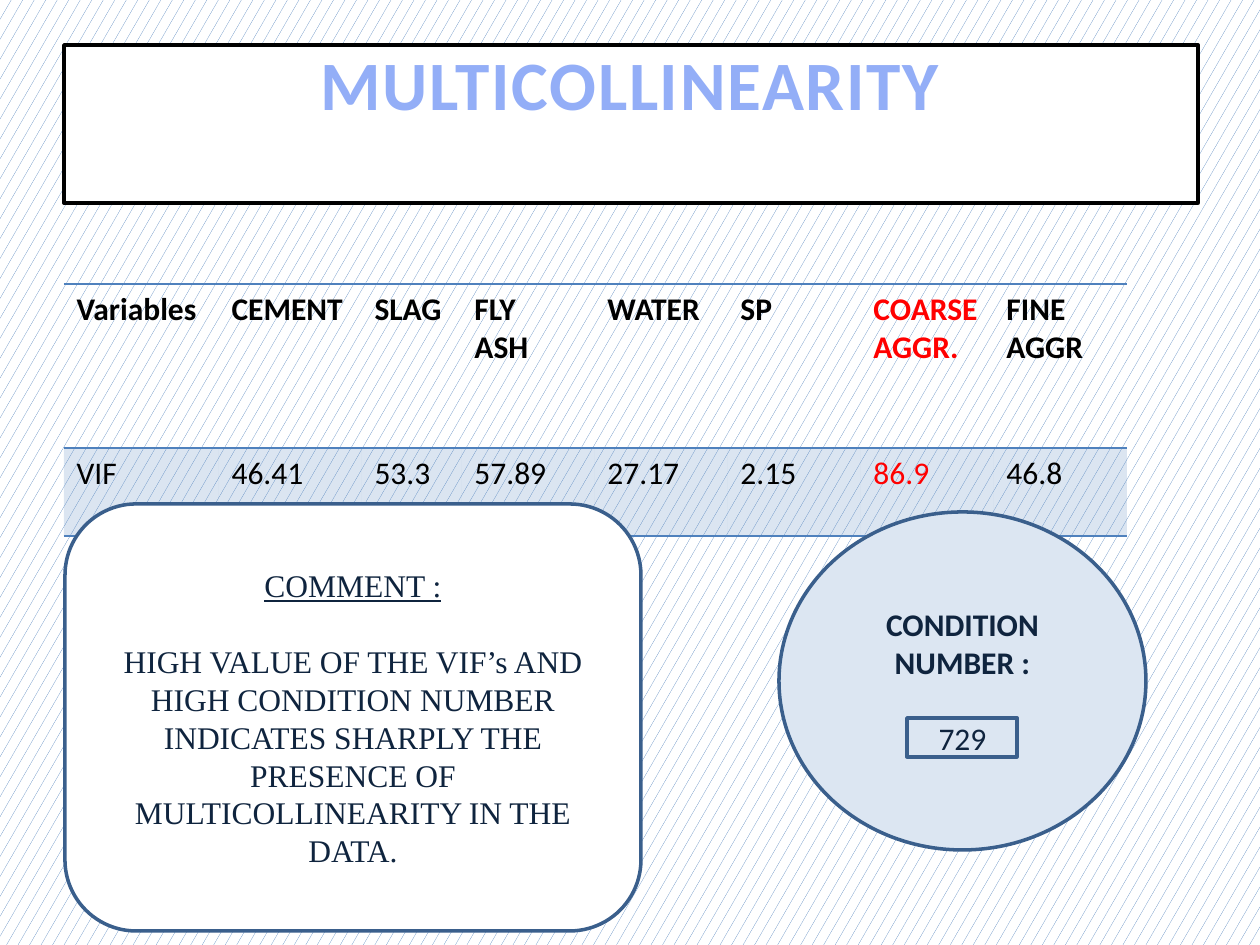
from lxml import etree
from pptx import Presentation
from pptx import util as u
from pptx.dml.color import RGBColor
from pptx.enum import dml, shapes, text
from pptx.oxml.ns import qn

EMU_PER_PX = 914400 / 126
COLORS = {
    "black": "000000", "white": "FFFFFF", "red": "FF0000", "blue": "4F81BD",
    "border": "3A5F8C", "navy": "0F243E", "pale": "DCE6F2",
    "title": "0D7BFF", "title_outline": "93AEF7",
}
NO_STYLE = "{2D5ABB26-0587-4C30-8999-92F81FD0307C}"
COLUMN_WIDTHS = [155, 143, 100] + [133] * 5
ROW_HEIGHTS = [164, 88]
ROWS = [
    ["Variables", "CEMENT", "SLAG", "FLY\nASH", "WATER", "SP", "COARSE\nAGGR.", "FINE AGGR"],
    ["VIF", "46.41", "53.3", "57.89", "27.17", "2.15", "86.9", "46.8"],
]
HIGHLIGHTED_COLUMN = 6
COMMENT = ("HIGH VALUE OF THE VIF’s AND HIGH CONDITION NUMBER INDICATES SHARPLY "
           "THE PRESENCE OF MULTICOLLINEARITY IN THE DATA.")


def px(value):
    return u.Emu(round(value * EMU_PER_PX))


def rgb(name):
    return RGBColor.from_string(COLORS[name])


def set_font(font, color, size=18, name="Calibri", bold=False, underline=False):
    font.name, font.size, font.bold, font.underline = name, u.Pt(size), bold, underline
    font.color.rgb = rgb(color)


def add_alpha(parent, percent):
    """Make the solid colour directly under parent partly opaque."""
    color = parent.find(qn("a:solidFill"))[0]
    etree.SubElement(color, qn("a:alpha"), val=str(percent * 1000))


def line_element(tag, color, points):
    line = etree.Element(qn(tag), w=str(u.Pt(points)))
    fill = etree.SubElement(line, qn("a:solidFill"))
    etree.SubElement(fill, qn("a:srgbClr"), val=COLORS[color])
    return line


def set_background(slide):
    fill = slide.background.fill
    fill.patterned()
    fill.pattern = dml.MSO_PATTERN.SMALL_CONFETTI
    fill.fore_color.rgb = rgb("blue")
    fill.back_color.rgb = rgb("white")


def style_box(shape, fill, line):
    if fill:
        shape.fill.solid()
        shape.fill.fore_color.rgb = rgb(fill)
    else:
        shape.fill.background()
    shape.line.color.rgb = rgb(line)
    shape.line.width = u.Pt(2)


def format_title(slide):
    title = slide.shapes.title
    title.left, title.top, title.width, title.height = map(px, (64, 45, 1134, 158))
    style_box(title, "white", "black")
    frame = title.text_frame
    frame.text = "MULTICOLLINEARITY\v"
    frame.auto_size = text.MSO_AUTO_SIZE.NONE
    frame.vertical_anchor = text.MSO_ANCHOR.MIDDLE
    paragraph = frame.paragraphs[0]
    paragraph.alignment = text.PP_ALIGN.CENTER
    paragraph.font.size = u.Pt(39.6)
    run = paragraph.runs[0]
    set_font(run.font, "title", 39.6, bold=True)
    properties = run._r.get_or_add_rPr()
    properties.set("spc", "100")
    add_alpha(properties, 6)
    properties.insert(0, line_element("a:ln", "title_outline", 1.42))


def format_cell(cell, content, color, header):
    cell.text = content
    for paragraph in cell.text_frame.paragraphs:
        set_font(paragraph.font, color, bold=header)
    properties = cell._tc.get_or_add_tcPr()
    if header:
        cell.fill.background()
    else:
        cell.fill.solid()
        cell.fill.fore_color.rgb = rgb("blue")
        add_alpha(properties, 20)
    for position, tag in enumerate(("a:lnT", "a:lnB")):
        properties.insert(position, line_element(tag, "blue", 1))


def add_vif_table(slide):
    frame = slide.shapes.add_table(
        len(ROWS), len(COLUMN_WIDTHS), px(64), px(284),
        px(sum(COLUMN_WIDTHS)), px(sum(ROW_HEIGHTS)))
    table = frame.table
    table.first_row = table.horz_banding = False
    table._tbl.tblPr.find(qn("a:tableStyleId")).text = NO_STYLE
    for column, width in zip(table.columns, COLUMN_WIDTHS):
        column.width = px(width)
    for row, (height, contents) in enumerate(zip(ROW_HEIGHTS, ROWS)):
        table.rows[row].height = px(height)
        for column, content in enumerate(contents):
            color = "red" if column == HIGHLIGHTED_COLUMN else "black"
            format_cell(table.cell(row, column), content, color, header=row == 0)


def add_box(slide, kind, bounds, fill=None):
    shape = slide.shapes.add_shape(kind, *map(px, bounds))
    shape.shadow.inherit = False
    style_box(shape, fill, "border")
    return shape


def write_heading_and_body(shape, heading, body, font="Calibri", **heading_style):
    frame = shape.text_frame
    frame.word_wrap = True
    frame.vertical_anchor = text.MSO_ANCHOR.MIDDLE
    frame.text = f"{heading}\n{body}"
    for paragraph, style in zip(frame.paragraphs, (heading_style, {})):
        paragraph.alignment = text.PP_ALIGN.CENTER
        set_font(paragraph.font, "navy", name=font, **style)
    frame.paragraphs[1].space_before = u.Pt(22)


def main():
    presentation = Presentation()
    presentation.slide_width, presentation.slide_height = px(1260), px(945)
    slide = presentation.slides.add_slide(presentation.slide_layouts[5])
    set_background(slide)
    format_title(slide)
    add_vif_table(slide)

    kinds = shapes.MSO_SHAPE
    condition = add_box(slide, kinds.OVAL, (779, 512, 367, 338), "pale")
    write_heading_and_body(condition, "CONDITION NUMBER :", "729", bold=True)
    add_box(slide, kinds.RECTANGLE, (907, 718, 110, 39))

    comment = add_box(slide, kinds.ROUNDED_RECTANGLE, (65, 504, 576, 427), "white")
    write_heading_and_body(comment, "COMMENT :", COMMENT, "Times New Roman", underline=True)
    comment.text_frame.margin_left = comment.text_frame.margin_right = px(32)
    presentation.save("out.pptx")


if __name__ == "__main__":
    main()
